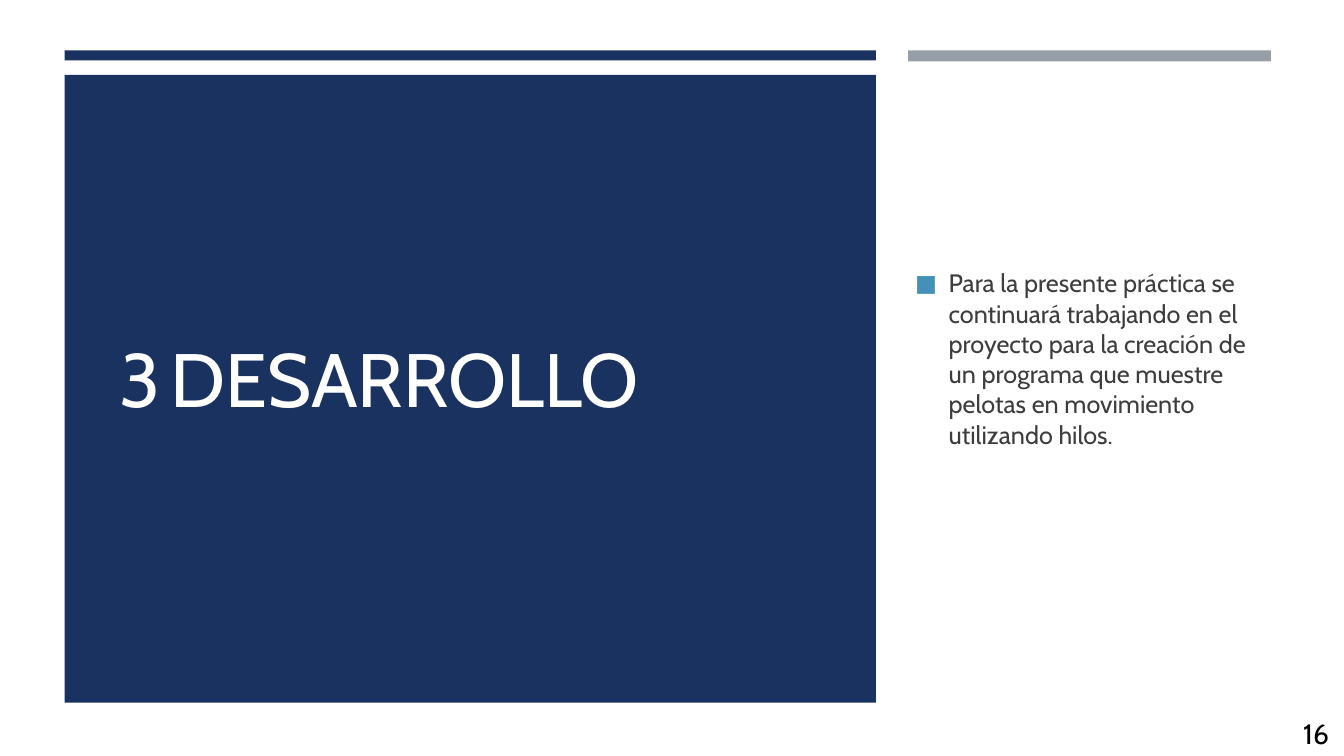
from lxml.etree import SubElement
from pptx import Presentation
from pptx.dml.color import RGBColor
from pptx.enum.shapes import MSO_SHAPE as SHAPE
from pptx.enum.text import MSO_ANCHOR as ANCHOR
from pptx.oxml.ns import qn
from pptx.util import Pt

COLORS = {
    "white": "FFFFFF",
    "navy": "1A3260",
    "gray": "969FA7",
    "bullet": "4590B8",
    "body": "3D3D3D",
    "black": "000000",
}
FONT = "Cabin"
SLIDE_W, SLIDE_H = 960, 540
PANEL_X, PANEL_W = 46.08, 579.6
BAR_Y = 36
TEXT_Y, TEXT_H = 90.72, 357.12


def rgb(name):
    return RGBColor.from_string(COLORS[name])


def add_block(s, x, y, w, h, color):
    sp = s.shapes.add_shape(SHAPE.RECTANGLE, Pt(x), Pt(y), Pt(w), Pt(h))
    sp.shadow.inherit = False
    sp.fill.solid()
    sp.fill.fore_color.rgb = rgb(color)
    sp.line.fill.background()


def add_text(s, text, x, y, w, h, *, size, color, anchor=ANCHOR.TOP, bottom=3.6):
    tf = s.shapes.add_textbox(Pt(x), Pt(y), Pt(w), Pt(h)).text_frame
    tf.word_wrap = True
    tf.vertical_anchor = anchor
    tf.margin_bottom = Pt(bottom)
    p = tf.paragraphs[0]
    r = p.add_run()
    r.text = text
    r.font.name = FONT
    r.font.size = Pt(size)
    r.font.color.rgb = rgb(color)
    return p


def set_tab(p, pos):
    tabs = SubElement(p._p.get_or_add_pPr(), qn("a:tabLst"))
    SubElement(tabs, qn("a:tab"), pos=str(Pt(pos)), algn="l")


def set_bullet(p, char, color, indent, percent):
    pPr = p._p.get_or_add_pPr()
    pPr.set("marL", str(Pt(indent)))
    pPr.set("indent", str(-Pt(indent)))
    clr = SubElement(pPr, qn("a:buClr"))
    SubElement(clr, qn("a:srgbClr"), val=COLORS[color])
    SubElement(pPr, qn("a:buSzPct"), val=str(percent * 1000))
    SubElement(pPr, qn("a:buFont"), typeface=FONT)
    SubElement(pPr, qn("a:buChar"), char=char)


def main():
    prs = Presentation()
    prs.slide_width, prs.slide_height = Pt(SLIDE_W), Pt(SLIDE_H)
    s = prs.slides.add_slide(prs.slide_layouts[6])

    add_block(s, 0, 0, SLIDE_W, SLIDE_H, "white")
    add_block(s, PANEL_X, BAR_Y, PANEL_W, 7.2, "navy")
    add_block(s, 648.72, BAR_Y, 259.2, 7.92, "gray")
    add_block(s, PANEL_X, 53.4, PANEL_W, 448.4, "navy")

    title = add_text(s, "3\tDESARROLLO", 78.48, TEXT_Y, 518.4, TEXT_H,
                     size=54, color="white", anchor=ANCHOR.MIDDLE)
    set_tab(title, 36)

    body = add_text(
        s,
        "Para la presente práctica se continuará trabajando en el proyecto "
        "para la creación de un programa que muestre pelotas en movimiento "
        "utilizando hilos.",
        646.56, TEXT_Y, 267.84, TEXT_H,
        size=18, color="body", anchor=ANCHOR.MIDDLE, bottom=30)
    set_bullet(body, "■", "bullet", 24, 92)

    add_text(s, "16", 923.76, 508.32, 36, 31.68, size=20, color="black")

    prs.save("out.pptx")


if __name__ == "__main__":
    main()
